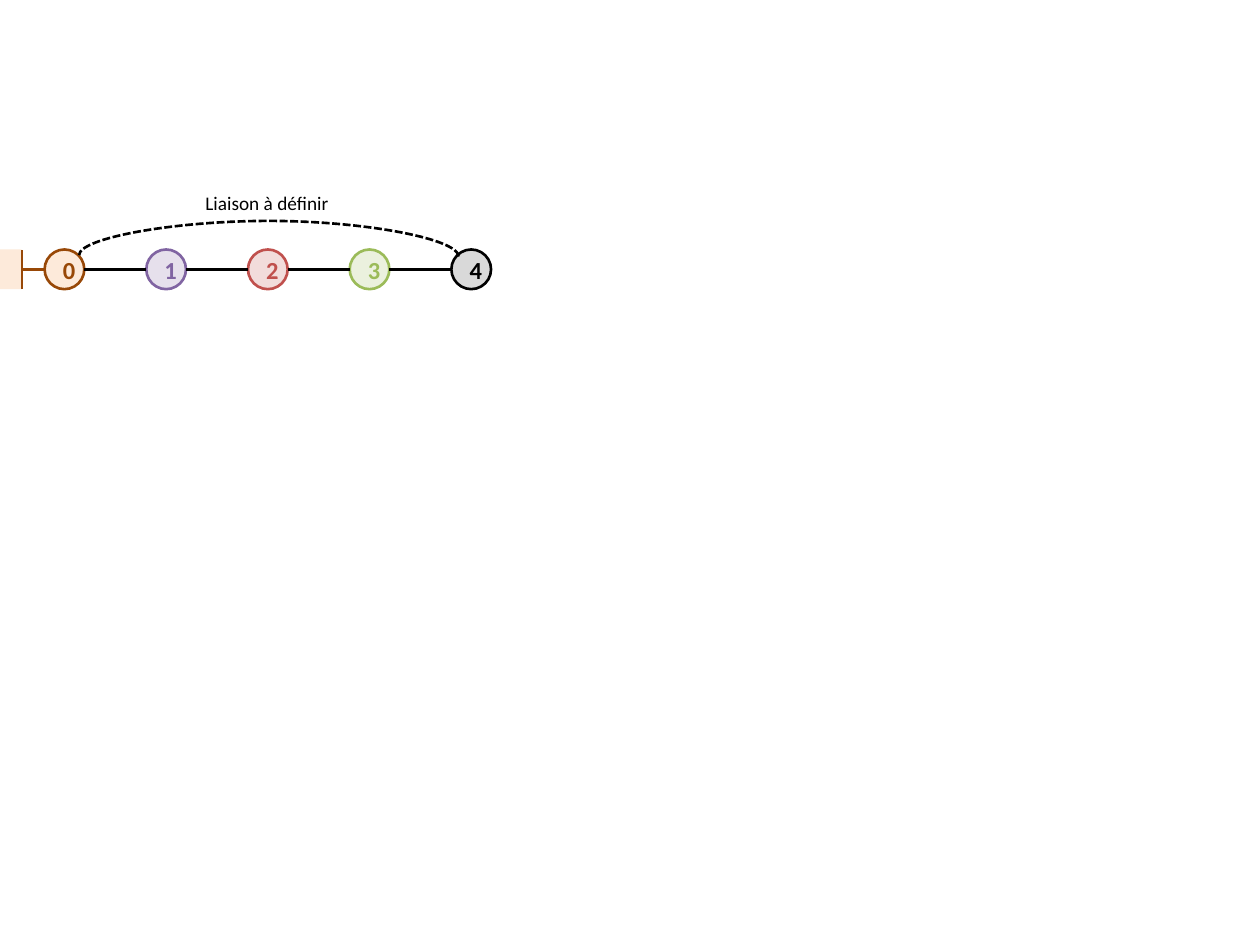
from lxml import etree
from pptx import Presentation
from pptx.dml.color import RGBColor
from pptx.enum.dml import MSO_LINE
from pptx.enum.shapes import MSO_CONNECTOR as CONN, MSO_SHAPE as SHAPE
from pptx.enum.text import MSO_ANCHOR, MSO_AUTO_SIZE, PP_ALIGN
from pptx.oxml.ns import qn
from pptx.util import Cm, Pt

COLORS = {
    "black": "000000", "grey": "D9D9D9",
    "brown": "984807", "peach": "FDEADA",
    "purple": "8064A2", "lilac": "E6E0EC",
    "red": "C0504D", "pink": "F2DCDB",
    "green": "9BBB59", "mint": "EBF1DE",
}
NODES = [("brown", "peach"), ("purple", "lilac"), ("red", "pink"),
         ("green", "mint"), ("black", "grey")]
SIZE, PITCH, LEFT, TOP = 0.8, 2.05, 0.9, 5.03
MIDDLE = TOP + SIZE / 2
BASE_WIDTH = 0.44


def rgb(name):
    return RGBColor.from_string(COLORS[name])


def add_run(p, text, size, color, bold=False):
    r = p.add_run()
    r.text = text
    r.font.name = "Calibri"
    r.font.size = Pt(size)
    r.font.bold = bold
    r.font.color.rgb = rgb(color)


def add_filled(s, kind, x, width, fill):
    sp = s.shapes.add_shape(kind, Cm(x), Cm(TOP), Cm(width), Cm(SIZE))
    sp.shadow.inherit = False
    sp.fill.solid()
    sp.fill.fore_color.rgb = rgb(fill)
    return sp


def add_base(s):
    sp = add_filled(s, SHAPE.RECTANGLE, 0, BASE_WIDTH, "peach")
    sp.line.fill.background()
    return sp


def add_node(s, number, color, fill):
    sp = add_filled(s, SHAPE.OVAL, LEFT + number * PITCH, SIZE, fill)
    sp.line.color.rgb = rgb(color)
    sp.line.width = Pt(1.5)
    tf = sp.text_frame
    tf.vertical_anchor = MSO_ANCHOR.MIDDLE
    p = tf.paragraphs[0]
    p.alignment = PP_ALIGN.CENTER
    add_run(p, str(number), 14, color, bold=True)


def add_line(s, x1, y1, x2, y2, color="black", kind=CONN.STRAIGHT):
    line = s.shapes.add_connector(kind, Cm(x1), Cm(y1), Cm(x2), Cm(y2))
    line.line.color.rgb = rgb(color)
    line.line.width = Pt(1.5)
    etree.SubElement(line._element.spPr, qn("a:effectLst"))
    return line


def add_arch(s, center_x, foot_y, span, rise):
    """Dashed curved connector, turned a quarter so that it bulges upwards."""
    depth = 0.03
    x, y = center_x - depth / 2, foot_y - span / 2
    arch = add_line(s, x, y, x + depth, y + span, kind=CONN.CURVE)
    arch.line.dash_style = MSO_LINE.SQUARE_DOT
    spPr = arch._element.spPr
    xfrm = spPr.find(qn("a:xfrm"))
    xfrm.set("rot", "16200000")
    xfrm.set("flipV", "1")
    guides = spPr.find(qn("a:prstGeom")).get_or_add_avLst()
    etree.SubElement(guides, qn("a:gd"), name="adj1",
                     fmla=f"val {round(rise / depth * 100000)}")


def add_label(s, text, x, y, width, height):
    tf = s.shapes.add_textbox(Cm(x), Cm(y), Cm(width), Cm(height)).text_frame
    tf.word_wrap = False
    tf.auto_size = MSO_AUTO_SIZE.SHAPE_TO_FIT_TEXT
    add_run(tf.paragraphs[0], text, 11, "black")


def main():
    prs = Presentation()
    prs.slide_width, prs.slide_height = Cm(25.4), Cm(19.05)
    s = prs.slides.add_slide(prs.slide_layouts[6])

    base = add_base(s)
    for number, (color, fill) in enumerate(NODES):
        add_node(s, number, color, fill)
    for number in range(1, len(NODES)):
        x = LEFT + number * PITCH
        add_line(s, x - PITCH + SIZE, MIDDLE, x, MIDDLE)

    stem = add_line(s, BASE_WIDTH, MIDDLE, LEFT, MIDDLE, "brown")
    stem.begin_connect(base, 3)
    add_line(s, BASE_WIDTH, TOP + SIZE, BASE_WIDTH, TOP, "brown")

    add_arch(s, 5.42, 5.16, 7.65, 0.72)
    add_label(s, "Liaison à définir", 3.89, 3.73, 3.02, 0.74)
    prs.save("out.pptx")


if __name__ == "__main__":
    main()
